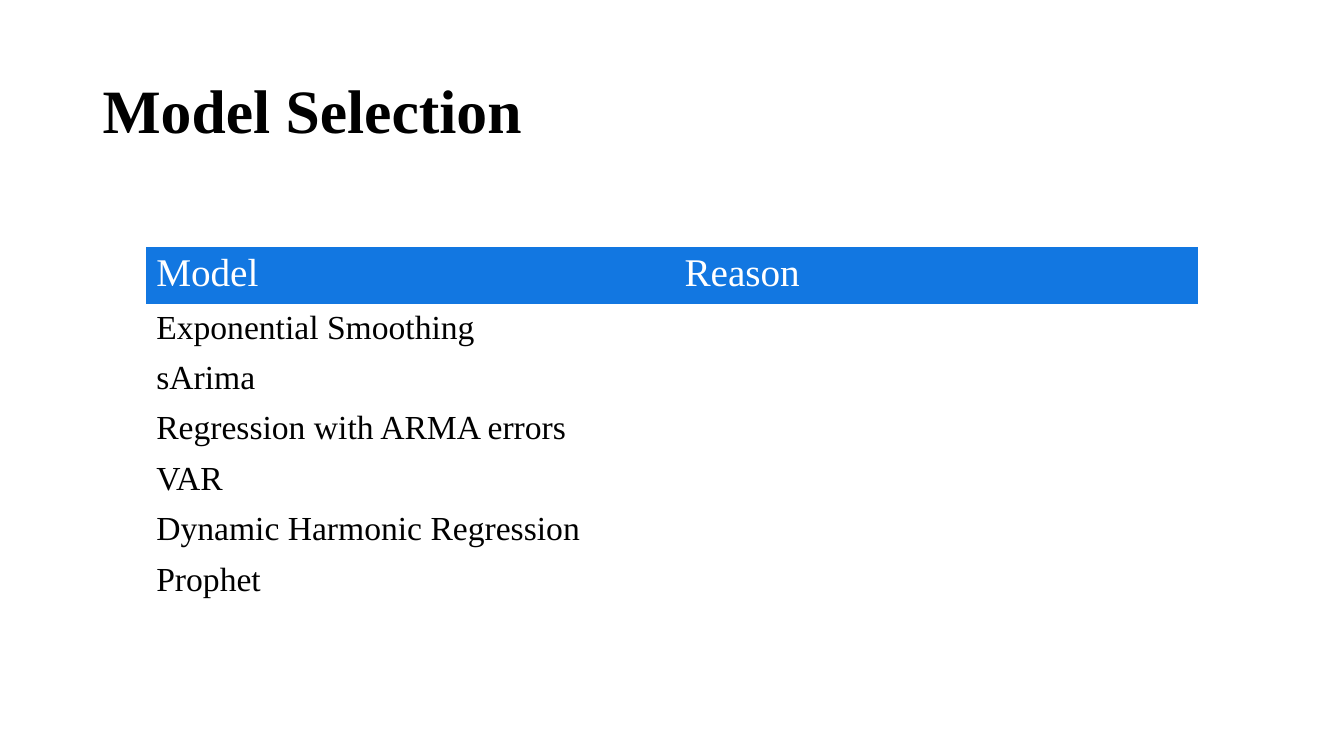
from dataclasses import dataclass

from pptx import Presentation
from pptx.dml.color import RGBColor
from pptx.enum.text import MSO_ANCHOR as Anchor
from pptx.oxml.ns import qn
from pptx.util import Inches, Pt


@dataclass(frozen=True)
class Theme:
    """Colours, type sizes and fonts of the slide."""
    font: str = "Times New Roman"
    text: str = "000000"
    header_text: str = "FFFFFF"
    header_fill: str = "1277E1"
    title_size: int = 44
    header_size: int = 28
    body_size: int = 24
    plain_table: str = "{2D5ABB26-0587-4C30-8999-92F81FD0307C}"


THEME = Theme()
HEADERS = ["Model", "Reason"]
MODELS = [
    "Exponential Smoothing",
    "sArima",
    "Regression with ARMA errors",
    "VAR",
    "Dynamic Harmonic Regression",
    "Prophet",
]


def apply_format(target, values):
    """Set each attribute named in values on the target."""
    for name, value in values.items():
        setattr(target, name, value)


def write_text(paragraph, text, size, color, bold=False):
    """Add one formatted run to the paragraph."""
    run = paragraph.add_run()
    run.text = text
    apply_format(run.font, {"name": THEME.font, "size": Pt(size), "bold": bold})
    run.font.color.rgb = RGBColor.from_string(color)


def add_title(slide, box, text):
    """Place the slide title in the given box."""
    frame = slide.shapes.add_textbox(*map(Inches, box)).text_frame
    apply_format(frame, {"word_wrap": True, "vertical_anchor": Anchor.MIDDLE})
    paragraph = frame.paragraphs[0]
    paragraph.line_spacing = 0.9
    write_text(paragraph, text, THEME.title_size, THEME.text, bold=True)


def add_model_table(slide, box, column_widths, row_height):
    """Place the table of models, with reasons left open, in the given box."""
    rows = [HEADERS] + [[model, ""] for model in MODELS]
    shape = slide.shapes.add_table(len(rows), len(HEADERS), *map(Inches, box))
    table = shape.table
    apply_format(table, {"first_row": False, "horz_banding": False})
    for style in shape.element.iter(qn("a:tableStyleId")):
        style.text = THEME.plain_table
    for column, width in zip(table.columns, column_widths):
        column.width = Inches(width)
    for row, texts in zip(table.rows, rows):
        row.height = Inches(row_height)
        is_header = texts is HEADERS
        size = THEME.header_size if is_header else THEME.body_size
        color = THEME.header_text if is_header else THEME.text
        for cell, text in zip(row.cells, texts):
            if is_header:
                cell.fill.solid()
                cell.fill.fore_color.rgb = RGBColor.from_string(THEME.header_fill)
            else:
                cell.fill.background()
            if text:
                write_text(cell.text_frame.paragraphs[0], text, size, color)
    shape.height = Inches(box[3])


def main():
    """Build the model selection slide and save it."""
    presentation = Presentation()
    apply_format(presentation, {"slide_width": Inches(13.33), "slide_height": Inches(7.5)})
    slide = presentation.slides.add_slide(presentation.slide_layouts[6])
    add_title(slide, (0.92, 0.4, 11.5, 1.45), "Model Selection")
    add_model_table(slide, (1.45, 2.45, 10.43, 3.57), (5.24, 5.19), 0.41)
    presentation.save("out.pptx")


if __name__ == "__main__":
    main()
